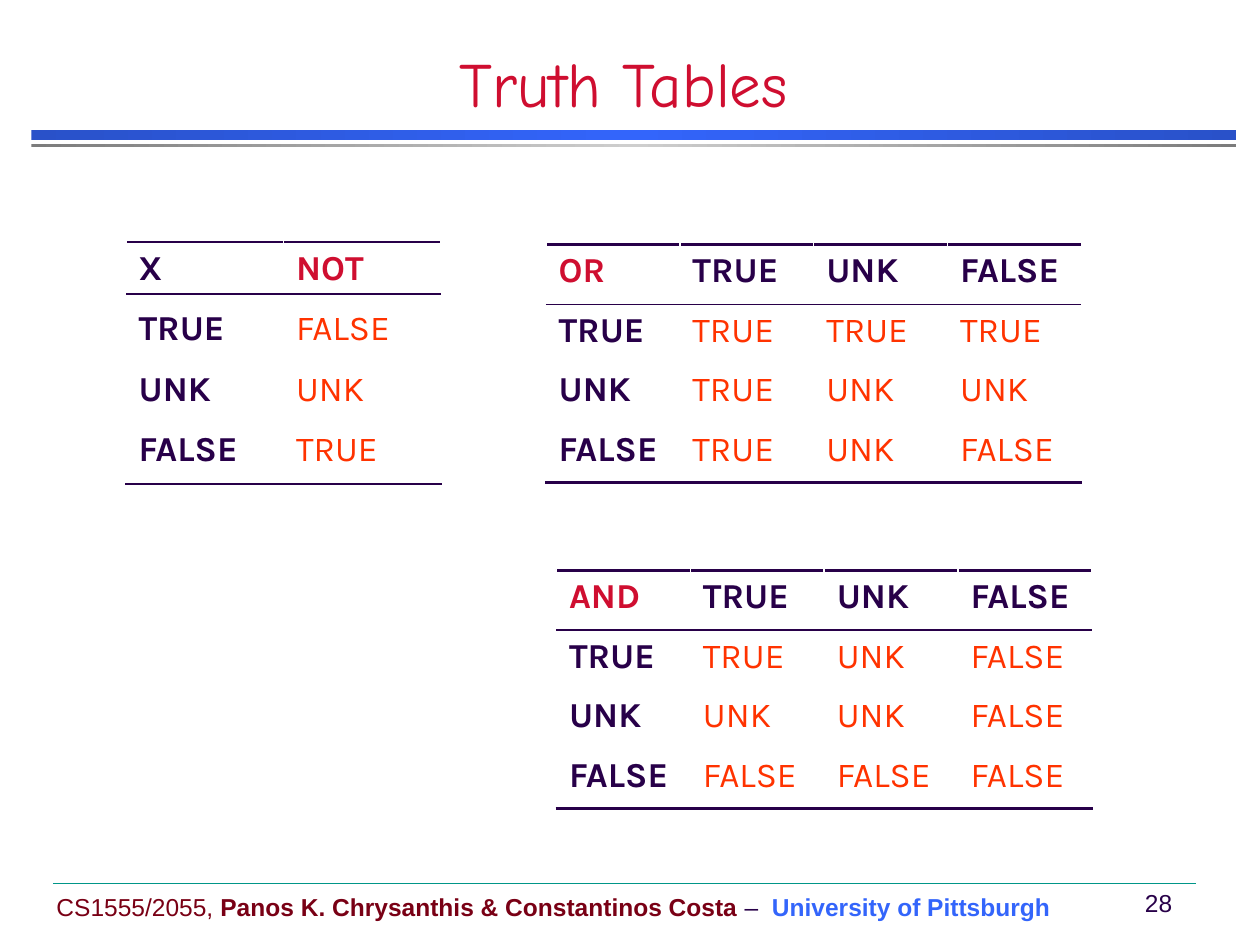
from copy import deepcopy
from lxml.etree import SubElement as Sub
from pptx import Presentation
from pptx.dml.color import RGBColor
from pptx.enum.shapes import MSO_CONNECTOR as Conn, MSO_SHAPE as Kind
from pptx.enum.text import MSO_ANCHOR as Anchor, PP_ALIGN as Align
from pptx.oxml.ns import qn
from pptx.util import Pt

THEME = dict(
    ink="280049", red="CF0E30", orange="FF3300", wine="790015",
    blue="3365FB", teal="009688",
    head="Comic Neue", body="Karla", foot="Arial",
    big=36, mid=20, small=14,
)

TITLE = "Truth Tables"
BARS = [
    (74.2, 5.8, ("2951C9", "3365FB", "2951C9")),
    (82.1, 2.2, ("7C7C7C", "CECECE", "7C7C7C")),
]
FOOT = [
    ("CS1555/2055, ", "wine", False),
    ("Panos K. Chrysanthis & Constantinos Costa", "wine", True),
    (" –  ", "ink", False),
    ("University of Pittsburgh", "blue", True),
]
PAGE = [("28", "ink", False)]
TABLES = [
    dict(left=72, top=138.2, col=90, row=34.6, edge=1, rule=168, rows=[
        "X NOT", "TRUE FALSE", "UNK UNK", "FALSE TRUE"]),
    dict(left=312, top=139.7, col=76.5, row=34, edge=2.25, rule=174, rows=[
        "OR TRUE UNK FALSE", "TRUE TRUE TRUE TRUE",
        "UNK TRUE UNK UNK", "FALSE TRUE UNK FALSE"]),
    dict(left=318, top=326, col=76.5, row=34, edge=2.25, rule=360, rows=[
        "AND TRUE UNK FALSE", "TRUE TRUE UNK FALSE",
        "UNK UNK UNK FALSE", "FALSE FALSE FALSE FALSE"]),
]
OPS = ("NOT", "OR", "AND")


def add_run(par, text, color, size, font, bold=False):
    """Append one styled run to a paragraph."""
    run = par.add_run()
    run.text = text
    run.font.name = THEME[font]
    run.font.size = Pt(THEME[size])
    run.font.bold = bold
    run.font.color.rgb = RGBColor.from_string(THEME[color])


def add_line(slide, left, right, y, color, width):
    """Draw a level line without a shadow."""
    line = slide.shapes.add_connector(
        Conn.STRAIGHT, Pt(left), Pt(y), Pt(right), Pt(y))
    line.line.color.rgb = RGBColor.from_string(THEME[color])
    line.line.width = Pt(width)
    Sub(line.element.spPr, qn("a:effectLst"))


def add_bar(slide, top, high, hues):
    """Draw one title bar with a three-stop gradient."""
    bar = slide.shapes.add_shape(
        Kind.RECTANGLE, Pt(18), Pt(top), Pt(688.3), Pt(high))
    bar.shadow.inherit = False
    bar.line.fill.background()
    bar.fill.gradient()
    bar.fill.gradient_angle = 0
    stops = bar.element.spPr.find(".//" + qn("a:gsLst"))
    stops.append(deepcopy(stops[-1]))
    for i, (stop, hue) in enumerate(zip(bar.fill.gradient_stops, hues)):
        stop.position = i / 2
        stop.color.rgb = RGBColor.from_string(hue)


def add_text(slide, box, runs, align):
    """Add a one-line footer text box."""
    frame = slide.shapes.add_textbox(*map(Pt, box)).text_frame
    frame.word_wrap = False
    frame.vertical_anchor = Anchor.MIDDLE
    par = frame.paragraphs[0]
    par.alignment = align
    for text, color, bold in runs:
        add_run(par, text, color, "small", "foot", bold)


def set_edge(cell, side, width):
    """Give a cell a solid top or bottom border."""
    props = cell._tc.get_or_add_tcPr()
    edge = props.makeelement(qn("a:" + side), w=str(Pt(width)))
    fill = Sub(edge, qn("a:solidFill"))
    Sub(fill, qn("a:srgbClr"), val=THEME["ink"])
    props.insert(0, edge)


def add_truth(slide, left, top, col, row, edge, rule, rows):
    """Build a truth table and the rule below its head row."""
    grid = [line.split() for line in rows]
    high, wide = len(grid), len(grid[0])
    table = slide.shapes.add_table(
        high, wide, Pt(left), Pt(top), Pt(col * wide), Pt(row * high)).table
    table.first_row = table.horz_banding = False
    for part in table.rows:
        part.height = Pt(row)
    for i, line in enumerate(grid):
        for j, word in enumerate(line):
            cell = table.cell(i, j)
            cell.fill.background()
            bold = i == 0 or j == 0
            color = "red" if word in OPS else "ink" if bold else "orange"
            add_run(cell.text_frame.paragraphs[0], word, color, "mid", "body", bold)
            if i == 0:
                set_edge(cell, "lnT", edge)
            if i == high - 1:
                set_edge(cell, "lnB", edge)
    add_line(slide, left, left + col * wide, rule, "ink", 0.75)


def main():
    """Build the slide and save it."""
    deck = Presentation()
    deck.slide_width, deck.slide_height = Pt(720), Pt(540)
    slide = deck.slides.add_slide(deck.slide_layouts[5])
    for bar in BARS:
        add_bar(slide, *bar)
    add_text(slide, (25.2, 506, 584, 24.5), FOOT, Align.LEFT)
    add_text(slide, (644.4, 504, 35.3, 24), PAGE, Align.CENTER)
    add_line(slide, 30.2, 683.3, 504.7, "teal", 0.25)

    title = slide.shapes.title
    title.left, title.top, title.width, title.height = map(Pt, (0, 30.2, 713, 41.8))
    frame = title.text_frame
    frame.vertical_anchor = Anchor.BOTTOM
    frame.paragraphs[0].alignment = Align.CENTER
    add_run(frame.paragraphs[0], TITLE, "red", "big", "head")

    for table in TABLES:
        add_truth(slide, **table)
    deck.save("out.pptx")


if __name__ == "__main__":
    main()
